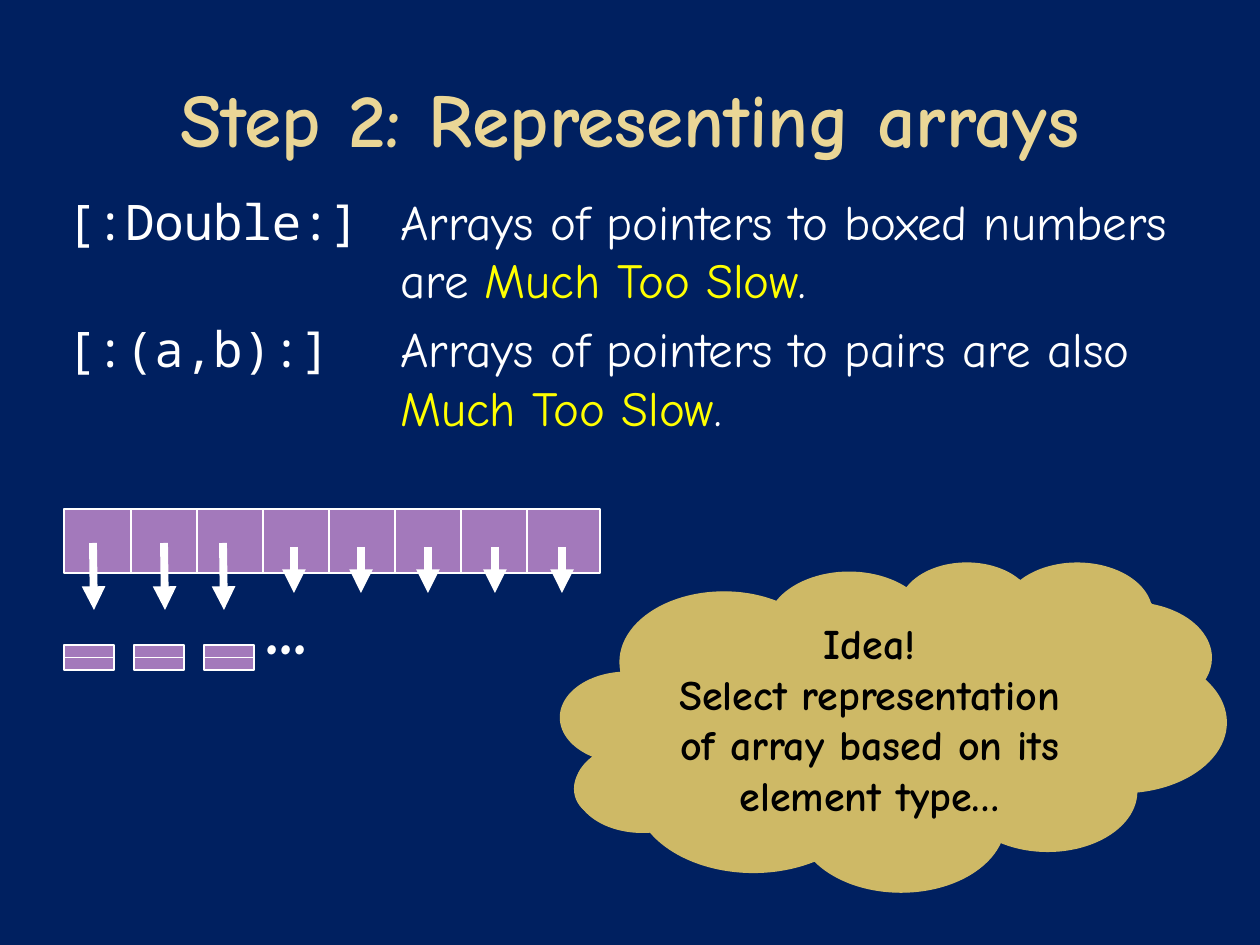
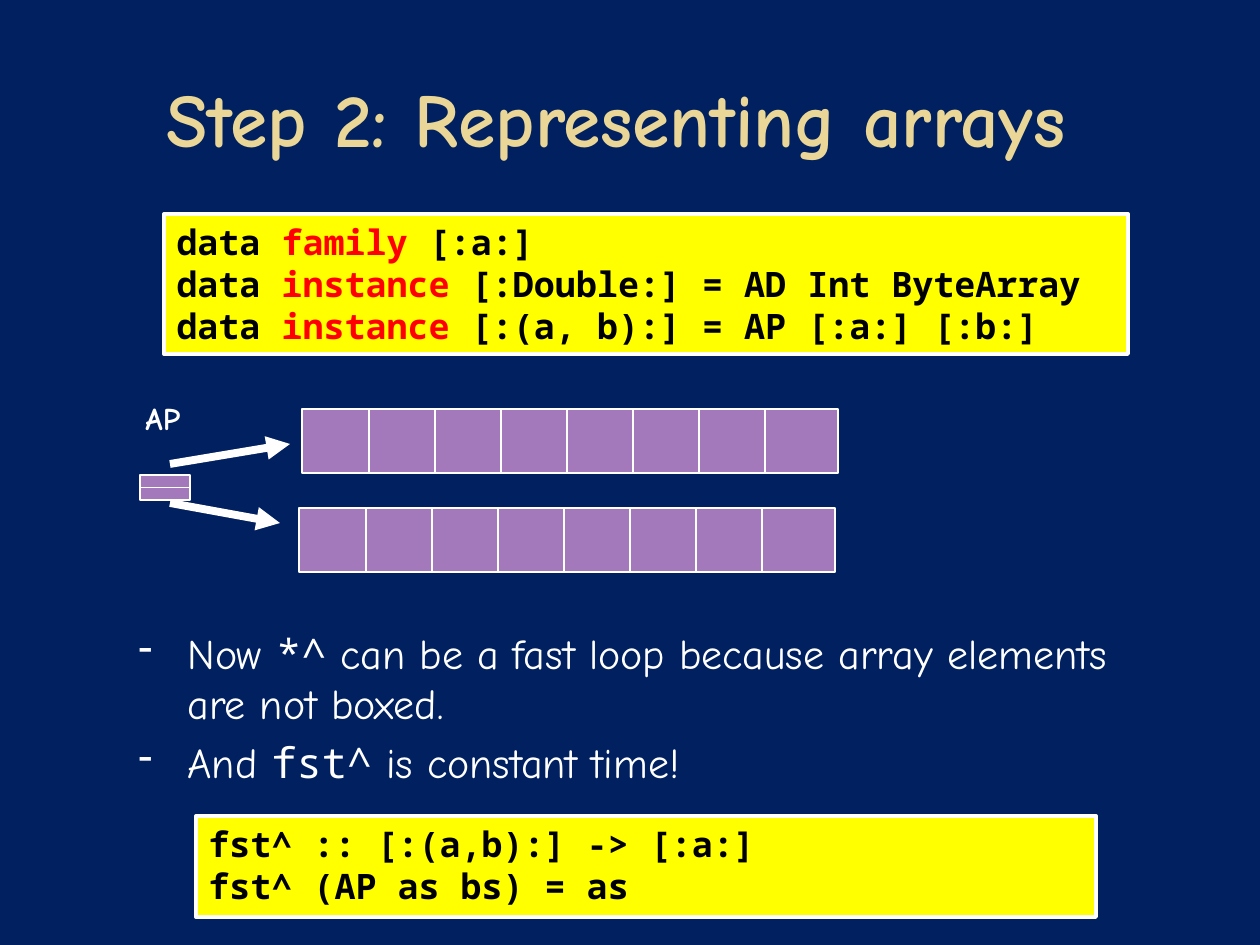
"""Build two slides on how parallel arrays are represented."""
from lxml import etree
from pptx import Presentation
from pptx.dml.color import RGBColor
from pptx.enum.shapes import MSO_CONNECTOR, MSO_SHAPE
from pptx.enum.text import MSO_ANCHOR, MSO_AUTO_SIZE, PP_ALIGN
from pptx.oxml.ns import qn
from pptx.util import Emu, Pt

NAVY = RGBColor(0x00, 0x20, 0x60)
GOLD = RGBColor(0xEA, 0xD6, 0x96)
SAND = RGBColor(0xCE, 0xB9, 0x66)
PURPLE = RGBColor(0xA3, 0x79, 0xBB)
YELLOW = RGBColor(0xFF, 0xFF, 0x00)
RED = RGBColor(0xFF, 0x00, 0x00)
WHITE = RGBColor(0xFF, 0xFF, 0xFF)
BLACK = RGBColor(0x00, 0x00, 0x00)
HAND, MONO = "Comic Neue", "Noto Sans Mono"
RECTANGLE, CLOUD = MSO_SHAPE.RECTANGLE, MSO_SHAPE.CLOUD_CALLOUT
STRAIGHT = MSO_CONNECTOR.STRAIGHT
LEFT, CENTER = PP_ALIGN.LEFT, PP_ALIGN.CENTER
TOP, BOTTOM = MSO_ANCHOR.TOP, MSO_ANCHOR.BOTTOM
NO_FIT = MSO_AUTO_SIZE.NONE
PX = 914400 / 126
TITLE = "Step 2: Representing arrays"


def write_text(box, paragraphs, font, align=LEFT, hanging=0, bullet=None, gap=0, wrap=True, anchor=TOP):
    """Fill a box with paragraphs of (text, font name, colour) spans."""
    frame = box.text_frame
    settings = {"auto_size": NO_FIT, "word_wrap": wrap, "vertical_anchor": anchor}
    for name, value in settings.items():
        setattr(frame, name, value)
    for number, spans in enumerate(paragraphs):
        para = frame.add_paragraph() if number else frame.paragraphs[0]
        para.alignment = align
        if hanging:
            properties = para._p.get_or_add_pPr()
            properties.set("marL", str(round(hanging * PX)))
            properties.set("indent", str(round(-hanging * PX)))
            if bullet:
                colour = etree.SubElement(properties, qn("a:buClr"))
                etree.SubElement(colour, qn("a:srgbClr")).set("val", str(WHITE))
                etree.SubElement(properties, qn("a:buChar")).set("char", bullet)
        if number and gap:
            para.space_before = Pt(gap)
        for text, typeface, colour in spans:
            span = para.add_run()
            span.text = text
            for name, value in {"name": typeface, **font}.items():
                setattr(span.font, name, value)
            span.font.color.rgb = colour


def add_line(page, ends, width=0.75, arrow=False):
    """Draw a white straight line, with an arrowhead at its end if asked."""
    line = page.shapes.add_connector(STRAIGHT, *[Emu(round(value * PX)) for value in ends])
    line.line.color.rgb = WHITE
    line.line.width = Pt(width)
    properties = line._element.spPr
    if arrow:
        etree.SubElement(properties.find(qn("a:ln")), qn("a:tailEnd")).set("type", "triangle")
    etree.SubElement(properties, qn("a:effectLst"))
    return line


deck = Presentation()
deck.slide_width, deck.slide_height = Emu(round(1260 * PX)), Emu(round(945 * PX))
background = deck.slide_master.background.fill
background.solid()
background.fore_color.rgb = NAVY

pages = []
for title_left in (63, 49):
    page = deck.slides.add_slide(deck.slide_layouts[5])
    title = page.shapes.title
    place = {"left": title_left, "top": 63, "width": 1134, "height": 100}
    for name, value in place.items():
        setattr(title, name, Emu(round(value * PX)))
    for name in ("margin_top", "margin_bottom"):
        setattr(title.text_frame, name, 0)
    write_text(title, [[(TITLE, HAND, GOLD)]], {"size": Pt(43.2), "bold": True}, CENTER, anchor=BOTTOM)
    pages.append(page)
problem, solution = pages

slow = ("Much Too Slow", HAND, YELLOW)
stop = (".", HAND, WHITE)
costs = [
    [("[:Double:]\t", MONO, WHITE), ("Arrays of pointers to boxed numbers are ", HAND, WHITE), slow, stop],
    [("[:(a,b):]", MONO, WHITE), ("\tArrays of pointers to pairs are also ", HAND, WHITE), slow, stop],
]
benefits = [
    [("Now ", HAND, WHITE), ("*^", MONO, WHITE),
     (" can be a fast loop because array elements are not boxed.", HAND, WHITE)],
    [("And ", HAND, WHITE), ("fst^", MONO, WHITE), (" is constant time!", HAND, WHITE)],
]
text_boxes = [
    (problem, (54, 185, 1134, 277), costs, {"size": Pt(28)}, {"hanging": 334, "gap": 5.6}),
    (solution, (126, 621, 1027, 179), benefits, {"size": Pt(24)}, {"hanging": 49, "bullet": "-", "gap": 4.8}),
    (problem, (253, 571, 81, 106), [[("...", HAND, WHITE)]], {"size": Pt(44), "bold": True}, {"wrap": False}),
    (solution, (133, 393, 67, 50), [[("AP", HAND, WHITE)]], {"size": Pt(18), "bold": True}, {"wrap": False}),
]
for page, place, paragraphs, font, layout in text_boxes:
    box = page.shapes.add_textbox(*[Emu(round(value * PX)) for value in place])
    write_text(box, paragraphs, font, **layout)

declarations = [
    [("data ", MONO, BLACK), (keyword, MONO, RED), (rest, MONO, BLACK)]
    for keyword, rest in (
        ("family", " [:a:]"),
        ("instance", " [:Double:] = AD Int ByteArray"),
        ("instance", " [:(a, b):] = AP [:a:] [:b:]"),
    )
]
function = [[(code, MONO, BLACK)] for code in ("fst^ :: [:(a,b):] -> [:a:]", "fst^ (AP as bs) = as")]
idea = [
    [(text, HAND, BLACK)]
    for text in ("Idea!", "Select representation of array based on its element type…")
]
panels = [
    (problem, CLOUD, (561, 562, 665, 329), SAND, SAND, 0.75, idea, 24, CENTER),
    (solution, RECTANGLE, (164, 214, 964, 140), YELLOW, WHITE, 2.25, declarations, 20, LEFT),
    (solution, RECTANGLE, (196, 816, 900, 101), YELLOW, WHITE, 2.25, function, 20, LEFT),
]
arrays = [(problem, 64, 509), (solution, 302, 409), (solution, 299, 508)]
pairs = [(problem, 64 + 70 * number, 645) for number in range(3)] + [(solution, 140, 475)]
panels += [(page, RECTANGLE, (left, top, 536, 64), PURPLE, WHITE, 0.75, [], 0, LEFT) for page, left, top in arrays]
panels += [(page, RECTANGLE, (left, top, 50, 25), PURPLE, WHITE, 0.75, [], 0, LEFT) for page, left, top in pairs]

drawn = []
for page, kind, place, fill, outline, width, paragraphs, size, align in panels:
    panel = page.shapes.add_shape(kind, *[Emu(round(value * PX)) for value in place])
    panel.shadow.inherit = False
    panel.fill.solid()
    panel.fill.fore_color.rgb = fill
    panel.line.color.rgb = outline
    panel.line.width = Pt(width)
    if kind == CLOUD:
        panel.adjustments[0], panel.adjustments[1] = -0.37, 0.16
    if paragraphs:
        write_text(panel, paragraphs, {"size": Pt(size), "bold": True}, align)
    drawn.append(panel)

for page, left, top in arrays:
    for number in range(1, 8):
        x = left + 66 * number + 1
        add_line(page, (x, top, x, top + 65))

for (page, left, top), pair in zip(pairs, drawn[-len(pairs):]):
    divider = add_line(page, (left, top + 12, left + 50, top + 12))
    divider.begin_connect(pair, 1)
    divider.end_connect(pair, 3)

arrows = [(problem, (x, 543, x + 1, 610)) for x in (93, 164, 223)]
arrows += [(problem, (294 + 67 * number, 547, 294 + 67 * number, 593)) for number in range(5)]
arrows += [(solution, (170, 464, 290, 444)), (solution, (170, 503, 280, 523))]
for page, ends in arrows:
    add_line(page, ends, 4.5, True)

deck.save("out.pptx")
